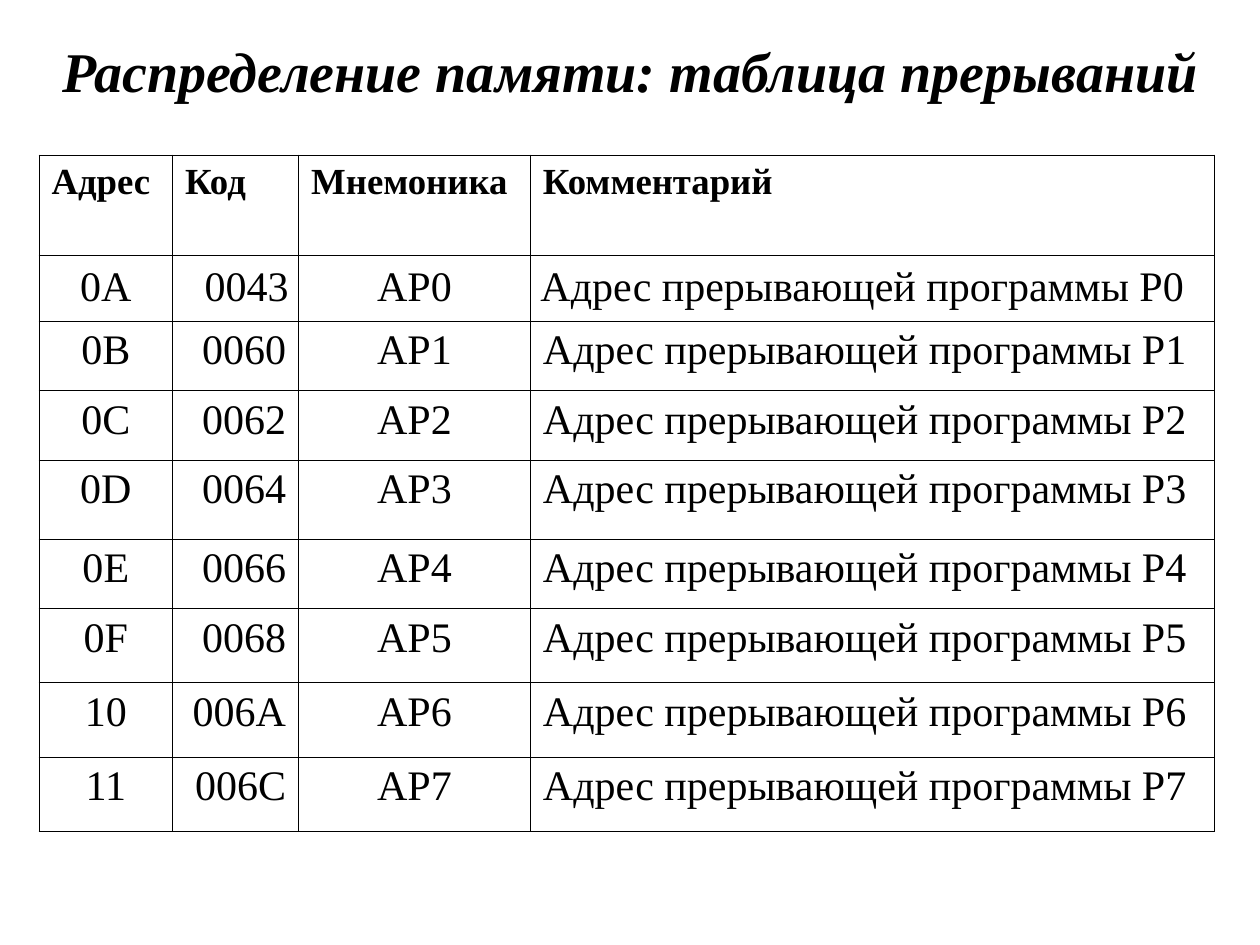
from lxml.etree import SubElement
from pptx import Presentation
from pptx.dml.color import RGBColor
from pptx.enum.text import MSO_ANCHOR, MSO_AUTO_SIZE, PP_ALIGN
from pptx.oxml.ns import qn
from pptx.util import Inches, Pt

BLACK = RGBColor(0, 0, 0)
WHITE = RGBColor(255, 255, 255)
FONT = "Times New Roman"
TITLE_ONLY = 5

HEADERS = ["Адрес", "Код", "Мнемоника", "Комментарий"]
CODES = ["0043", "0060", "0062", "0064", "0066", "0068", "006A", "006C"]
FIRST_ADDRESS = 0x0A
COLUMN_WIDTHS = [1.06, 1, 1.84, 5.43]
ROW_HEIGHTS = [0.8, 0.52, 0.55, 0.55, 0.63, 0.55, 0.59, 0.59, 0.59]
BODY_ALIGNS = [PP_ALIGN.CENTER, PP_ALIGN.RIGHT, PP_ALIGN.CENTER, PP_ALIGN.JUSTIFY]


def set_font(para, size, bold=False, italic=False):
    font = para.font
    font.name, font.size = FONT, Pt(size)
    font.bold, font.italic = bold, italic
    font.color.rgb = BLACK


def add_borders(cell):
    properties = cell._tc.get_or_add_tcPr()
    for side in ("a:lnL", "a:lnR", "a:lnT", "a:lnB"):
        line = SubElement(properties, qn(side), w=str(Pt(0.45)))
        fill = SubElement(line, qn("a:solidFill"))
        SubElement(fill, qn("a:srgbClr"), val=str(BLACK))


deck = Presentation()
deck.slide_width, deck.slide_height = Inches(10), Inches(7.5)
page = deck.slides.add_slide(deck.slide_layouts[TITLE_ONLY])
page.background.fill.solid()
page.background.fill.fore_color.rgb = WHITE

# Title
title = page.shapes.title
title.left, title.top = Inches(0.2), Inches(0.17)
title.width, title.height = Inches(9.61), Inches(0.77)
frame = title.text_frame
frame.text = "Распределение памяти: таблица прерываний"
frame.word_wrap = True
frame.auto_size = MSO_AUTO_SIZE.NONE
frame.vertical_anchor = MSO_ANCHOR.MIDDLE
frame.paragraphs[0].alignment = PP_ALIGN.CENTER
set_font(frame.paragraphs[0], 32, bold=True, italic=True)

# Interrupt table: one header row, then one row per vector
rows = [HEADERS] + [
    [f"{FIRST_ADDRESS + number:02X}", code, f"AP{number}",
     f"Адрес прерывающей программы P{number}"]
    for number, code in enumerate(CODES)
]
table = page.shapes.add_table(
    len(rows), len(HEADERS), Inches(0.31), Inches(1.23),
    Inches(sum(COLUMN_WIDTHS)), Inches(sum(ROW_HEIGHTS))).table
table.horz_banding = False
for column, width in zip(table.columns, COLUMN_WIDTHS):
    column.width = Inches(width)
for row, height in zip(table.rows, ROW_HEIGHTS):
    row.height = Inches(height)

for row_index, texts in enumerate(rows):
    is_header = row_index == 0
    is_first_vector = row_index == 1
    for column_index, text in enumerate(texts):
        cell = table.cell(row_index, column_index)
        cell.text = text
        cell.margin_left = cell.margin_right = Inches(0.08 if is_first_vector else 0.1)
        cell.margin_top = cell.margin_bottom = Inches(0.05)
        add_borders(cell)
        cell.fill.background()
        para = cell.text_frame.paragraphs[0]
        para.alignment = PP_ALIGN.JUSTIFY if is_header else BODY_ALIGNS[column_index]
        if is_first_vector:
            para.line_spacing = 1.05
        set_font(para, 21 if is_header else 24, bold=is_header)

deck.save("out.pptx")
